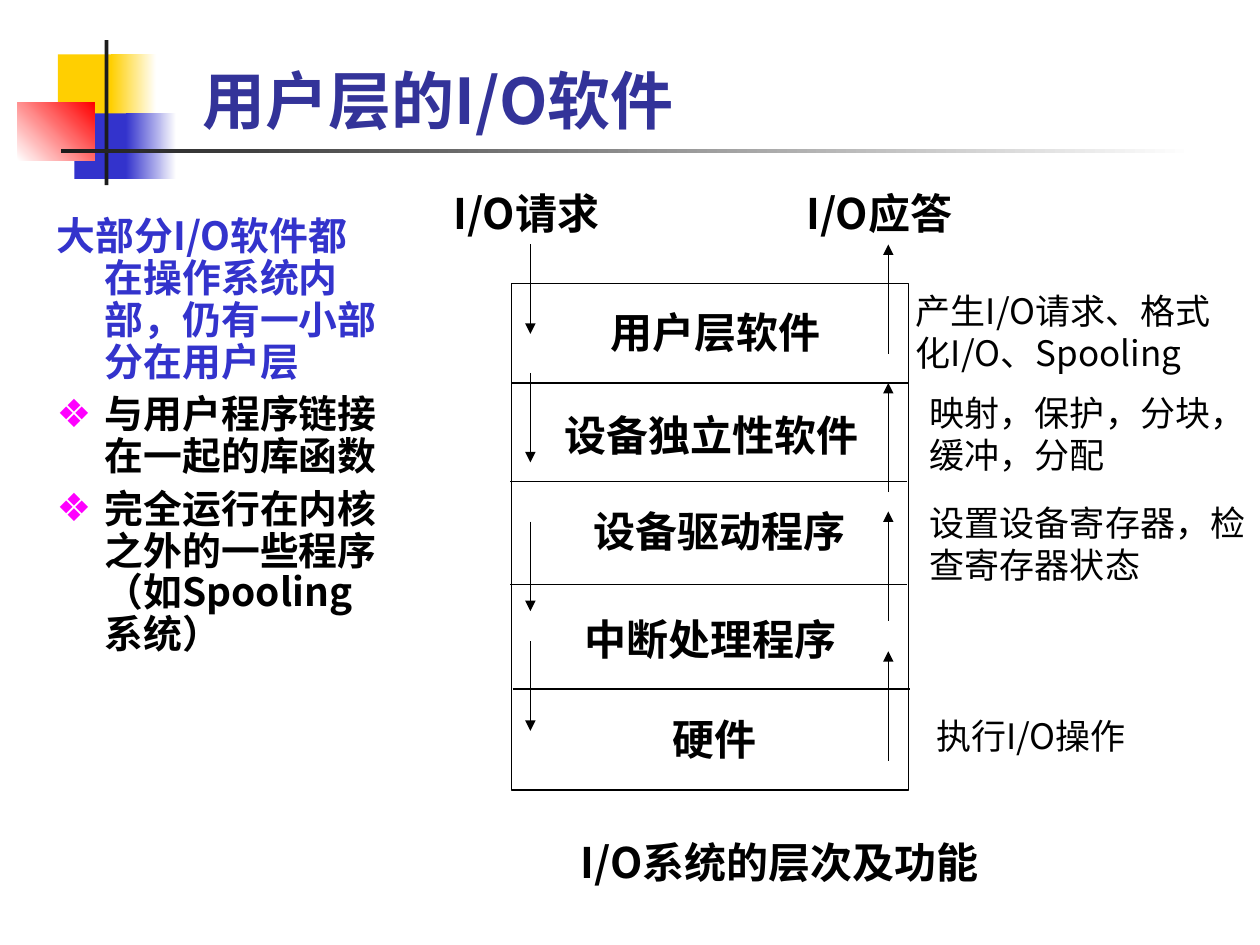
from lxml import etree
from pptx import Presentation
from pptx.dml.color import RGBColor
from pptx.enum.shapes import MSO_CONNECTOR, MSO_SHAPE
from pptx.enum.text import MSO_ANCHOR, MSO_AUTO_SIZE, PP_ALIGN
from pptx.oxml.ns import qn
from pptx.util import Pt

RECT, STRAIGHT = MSO_SHAPE.RECTANGLE, MSO_CONNECTOR.STRAIGHT
NO_FIT, FIT_SHAPE = MSO_AUTO_SIZE.NONE, MSO_AUTO_SIZE.SHAPE_TO_FIT_TEXT
LEFT, TOP, BOTTOM = PP_ALIGN.LEFT, MSO_ANCHOR.TOP, MSO_ANCHOR.BOTTOM

COLORS = {"yellow": "FFCF01", "blue": "3333CC", "red": "FF0000", "dark": "1C1C1C",
          "white": "FFFFFF", "title": "333399", "black": "000000", "bullet": "FF00FF"}
CJK, LATIN = "Noto Sans CJK SC", "Roboto"

# Content; every position is in points
TITLE = "用户层的I/O软件"
INTRO = "大部分I/O软件都在操作系统内部，仍有一小部分在用户层"
POINTS = ["与用户程序链接在一起的库函数", "完全运行在内核之外的一些程序（如Spooling系统）"]

# left, top, width, height, colours (two make a gradient), angle
DECORATION = [
    (33.1, 31, 34.6, 37.4, ["yellow"], 0),
    (63.4, 31, 25.9, 37.4, ["yellow", "white"], 0),
    (42.5, 64.8, 33.1, 37.4, ["blue"], 0),
    (72, 64.8, 28.8, 37.4, ["blue", "white"], 0),
    (10.1, 58.7, 43.9, 33.1, ["white", "red"], 45),
    (59.8, 23, 2.2, 82.8, ["dark"], 0),
    (34.6, 85, 648, 2.2, ["dark", "white"], 0),
]
STACK = (292.3, 162, 226.8, 289.4)
DIVIDERS = [(292.3, 218.9), (291.6, 275), (291.6, 334.1), (293, 393.8)]  # left, y
REQUEST_X, REQUEST_TOPS, REQUEST_LENGTH = 303.1, [139.7, 213.1, 298.1, 366.5], 51.1
REPLY_X, REPLY_TOPS, REPLY_LENGTH = 507.6, [372.2, 292.3, 218.9, 139.7], 62.4

# left, top, width, lines
LAYERS = [
    (342, 171.4, 136, ["用户层软件"]),
    (315.4, 230.4, 184, ["设备独立性软件"]),
    (331.9, 285.1, 160, ["设备驱动程序"]),
    (326.9, 347, 160, ["中断处理程序"]),
    (377.3, 403.9, 64, ["硬件"]),
]
HEADINGS = [
    (252, 103.7, 112, ["I/O请求"]),
    (453.6, 103.7, 112, ["I/O应答"]),
    (324.7, 474.5, 256, ["I/O系统的层次及功能"]),
]
FUNCTIONS = [
    (527.8, 404.6, 141, ["执行I/O操作"]),
    (516.2, 162, 202, ["产生I/O请求、格式", "化I/O、Spooling"]),
    (524.2, 220.3, 195.8, ["映射，保护，分块，", "缓冲，分配"]),
    (524.2, 283, 195.8, ["设置设备寄存器，检", "查寄存器状态"]),
]


def rgb(name):
    return RGBColor.from_string(COLORS[name])


def place(shape, left, top, width, height):
    shape.left, shape.top, shape.width, shape.height = map(Pt, (left, top, width, height))


def format_runs(paragraph, size, color, bold=True, font=CJK):
    for run in paragraph.runs:
        run.font.size, run.font.bold, run.font.name = Pt(size), bold, font
        run.font.color.rgb = rgb(color)
        etree.SubElement(run.font._element, qn("a:ea"), typeface=font)


def add_rect(left, top, width, height):
    rect = slide.shapes.add_shape(RECT, *map(Pt, (left, top, width, height)))
    rect.shadow.inherit = False
    return rect


def add_line(x1, y1, x2, y2, arrow=False):
    line = slide.shapes.add_connector(STRAIGHT, *map(Pt, (x1, y1, x2, y2)))
    line.line.color.rgb, line.line.width = rgb("black"), Pt(0.75)
    if arrow:
        etree.SubElement(line.line._get_or_add_ln(), qn("a:tailEnd"), type="triangle")
    etree.SubElement(line._element.spPr, qn("a:effectLst"))


def add_labels(labels, size, bold, font=CJK):
    for left, top, width, lines in labels:
        height = len(lines) * size * 1.2 + 7.2
        frame = slide.shapes.add_textbox(*map(Pt, (left, top, width, height))).text_frame
        frame.word_wrap, frame.auto_size = False, FIT_SHAPE
        frame.text = "\n".join(lines)
        for paragraph in frame.paragraphs:
            format_runs(paragraph, size, "black", bold, font)


prs = Presentation()
prs.slide_width, prs.slide_height = Pt(720), Pt(540)
slide = prs.slides.add_slide(prs.slide_layouts[1])

# Corner decoration
for *box, colors, angle in DECORATION:
    block = add_rect(*box)
    block.line.fill.background()
    if len(colors) == 1:
        block.fill.solid()
        block.fill.fore_color.rgb = rgb(colors[0])
    else:
        block.fill.gradient()
        block.fill.gradient_angle = angle
        for stop, color in zip(block.fill.gradient_stops, colors):
            stop.color.rgb = rgb(color)

# Title
title = slide.shapes.title
place(title, 108.7, 25.9, 557.3, 56.2)
title.text_frame.text = TITLE
title.text_frame.vertical_anchor, title.text_frame.auto_size = BOTTOM, NO_FIT
title.text_frame.paragraphs[0].alignment = LEFT
format_runs(title.text_frame.paragraphs[0], 36, "title")

# Introduction and bullet points
body = slide.placeholders[1]
place(body, 25.2, 120.2, 198.7, 382.3)
body.text_frame.text = "\n".join([INTRO] + POINTS)
body.text_frame.vertical_anchor, body.text_frame.auto_size = TOP, NO_FIT
for i, paragraph in enumerate(body.text_frame.paragraphs):
    props = paragraph._p.get_or_add_pPr()
    props.set("marL", str(Pt(27.4)))
    props.set("indent", str(-Pt(27.4)))
    props.set("hangingPunct", "0")
    if i == 0:
        etree.SubElement(props, qn("a:buNone"))
    else:
        bullet_color = etree.SubElement(props, qn("a:buClr"))
        etree.SubElement(bullet_color, qn("a:srgbClr"), val=COLORS["bullet"])
        etree.SubElement(props, qn("a:buChar"), char="❖")
    paragraph.line_spacing = 0.9
    paragraph.space_before = Pt(6 if i else 0)
    format_runs(paragraph, 22.2, "black" if i else "blue")

# Layer stack
stack = add_rect(*STACK)
stack.fill.background()
stack.line.color.rgb, stack.line.width = rgb("black"), Pt(0.75)
for left, y in DIVIDERS:
    add_line(left, y, left + STACK[2], y)
add_labels(LAYERS, 24, True, LATIN)

# Requests go down, replies go up
for top in REQUEST_TOPS:
    add_line(REQUEST_X, top, REQUEST_X, top + REQUEST_LENGTH, arrow=True)
for top in REPLY_TOPS:
    add_line(REPLY_X, top + REPLY_LENGTH, REPLY_X, top, arrow=True)

# Headings, caption and layer functions
add_labels(HEADINGS, 24, True)
add_labels(FUNCTIONS, 20, False)

prs.save("out.pptx")
